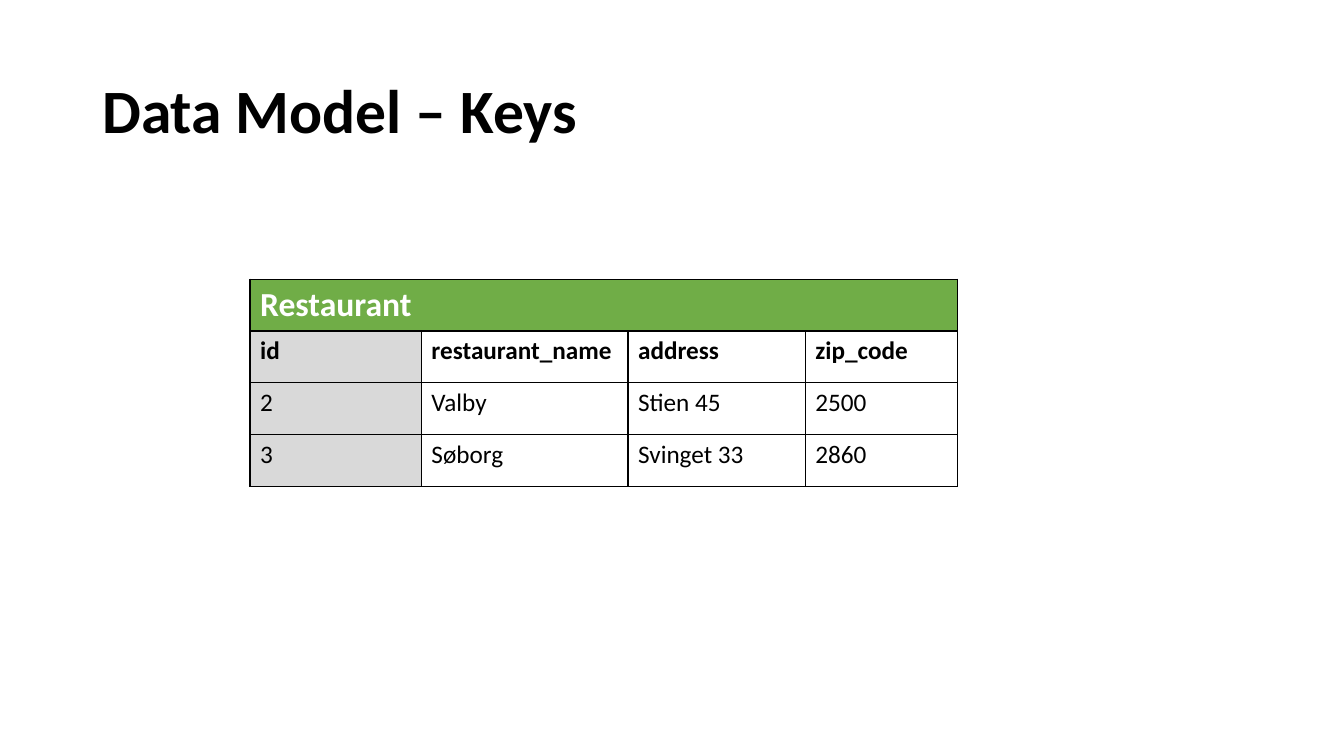
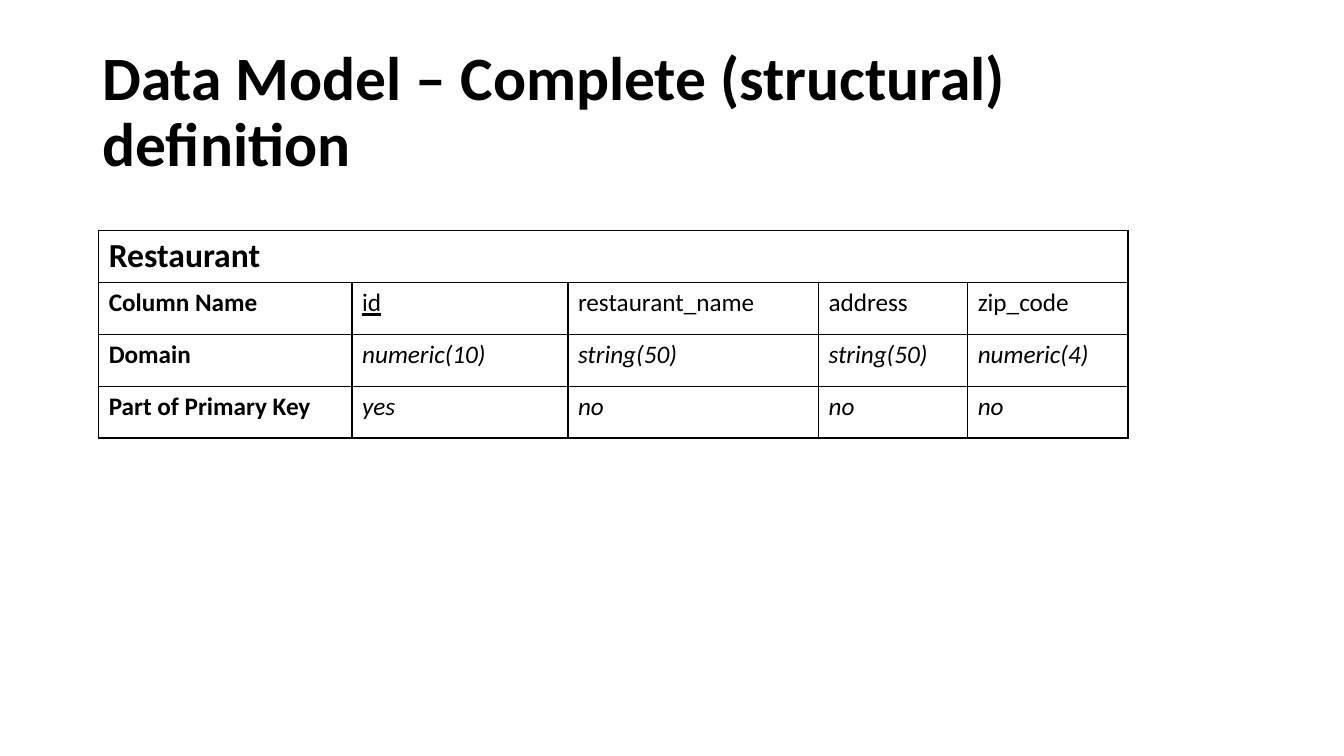
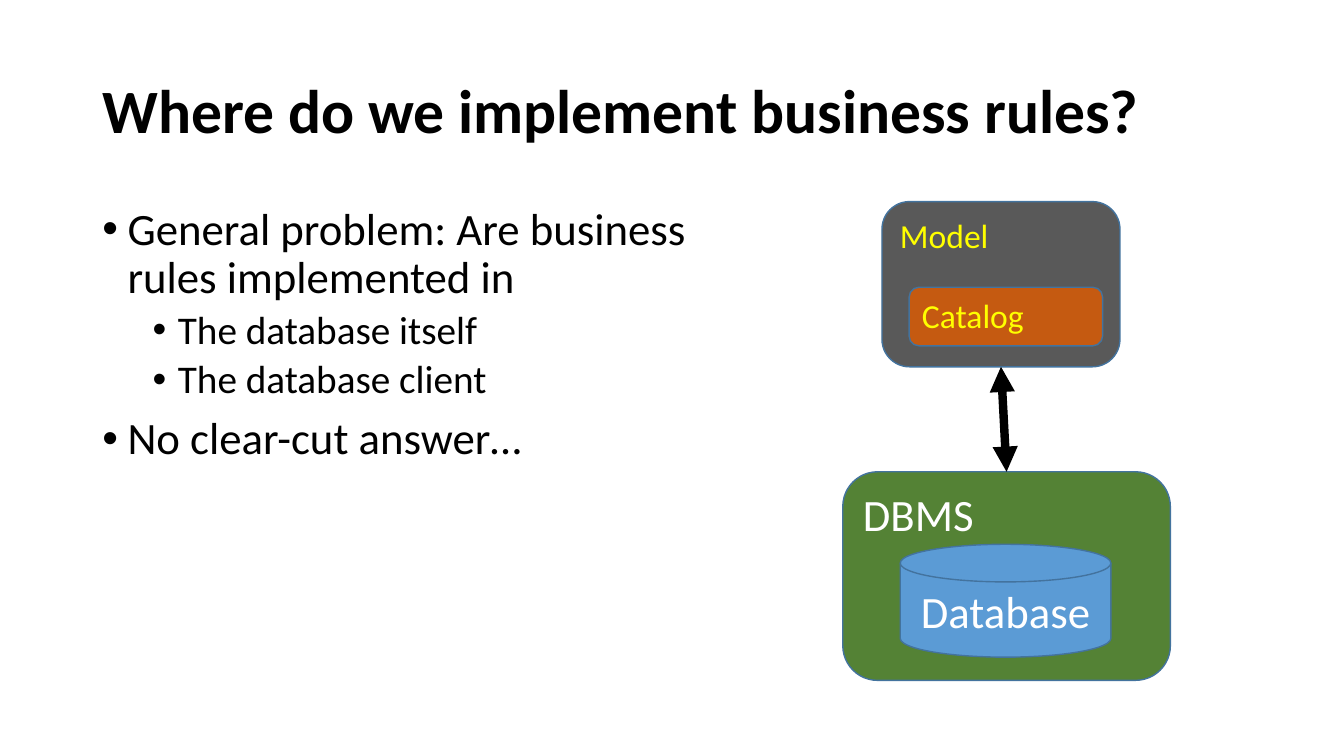
from lxml import etree
from pptx import Presentation
from pptx.dml.color import RGBColor
from pptx.enum.shapes import MSO_CONNECTOR, MSO_SHAPE
from pptx.enum.text import MSO_ANCHOR, PP_ALIGN
from pptx.oxml.ns import qn
from pptx.util import Pt

ROUNDED, DISK = MSO_SHAPE.ROUNDED_RECTANGLE, MSO_SHAPE.FLOWCHART_MAGNETIC_DISK
STRAIGHT = MSO_CONNECTOR.STRAIGHT
TOP, MIDDLE = MSO_ANCHOR.TOP, MSO_ANCHOR.MIDDLE
LEFT, CENTER = PP_ALIGN.LEFT, PP_ALIGN.CENTER

FONT = "Calibri"
BLACK, WHITE, YELLOW = "000000", "FFFFFF", "FFFF00"
GREEN, KEY_GRAY, OUTLINE = "70AD47", "D9D9D9", "43739E"
ROW_HEIGHT = 37
color = RGBColor.from_string


def style_text(para, size, text_color=BLACK, bold=False, italic=False, underline=False):
    for span in para.runs:
        font = span.font
        font.name, font.size = FONT, Pt(size)
        font.bold, font.italic, font.underline = bold, italic, underline
        font.color.rgb = color(text_color)


def add_page(title):
    page = deck.slides.add_slide(deck.slide_layouts[6])
    box = page.shapes.add_textbox(Pt(66), Pt(28.8), Pt(828), Pt(104.4))
    frame = box.text_frame
    frame.word_wrap = True
    frame.vertical_anchor = MIDDLE
    frame.text = title
    frame.paragraphs[0].line_spacing = 0.9
    style_text(frame.paragraphs[0], 44, bold=True)
    return page


deck = Presentation()
deck.slide_width, deck.slide_height = Pt(960), Pt(540)

# Table pages
table_pages = [
    {
        "title": "Data Model – Keys",
        "left": 178.6, "top": 199.4,
        "widths": [122.4, 147.6, 126.7, 108.7],
        "header_fill": GREEN, "header_color": WHITE, "first_column_fill": KEY_GRAY,
        "bold_rows": [1], "bold_columns": [], "italic_rows": [], "underlined": [],
        "rows": [
            ["id", "restaurant_name", "address", "zip_code"],
            ["2", "Valby", "Stien 45", "2500"],
            ["3", "Søborg", "Svinget 33", "2860"],
        ],
    },
    {
        "title": "Data Model – Complete (structural) definition",
        "left": 70.5, "top": 164.9,
        "widths": [181, 154.2, 179, 106.6, 114.5],
        "header_fill": WHITE, "header_color": BLACK, "first_column_fill": WHITE,
        "bold_rows": [], "bold_columns": [0], "italic_rows": [2, 3], "underlined": ["id"],
        "rows": [
            ["Column Name", "id", "restaurant_name", "address", "zip_code"],
            ["Domain", "numeric(10)", "string(50)", "string(50)", "numeric(4)"],
            ["Part of Primary Key", "yes", "no", "no", "no"],
        ],
    },
]

for content in table_pages:
    page = add_page(content["title"])
    widths = content["widths"]
    header = ["Restaurant"] + [""] * (len(widths) - 1)
    rows = [header] + content["rows"]
    table = page.shapes.add_table(
        len(rows), len(widths), Pt(content["left"]), Pt(content["top"]),
        Pt(sum(widths)), Pt(ROW_HEIGHT * len(rows))).table
    table.first_row = table.horz_banding = False
    for column, width in zip(table.columns, widths):
        column.width = Pt(width)

    for row_number, texts in enumerate(rows):
        table.rows[row_number].height = Pt(ROW_HEIGHT)
        for column_number, text in enumerate(texts):
            cell = table.cell(row_number, column_number)
            # Borders come before the fill in the cell properties
            properties = cell._tc.get_or_add_tcPr()
            for side in ("a:lnL", "a:lnR", "a:lnT", "a:lnB"):
                border = etree.SubElement(properties, qn(side), w=str(Pt(1)))
                paint = etree.SubElement(border, qn("a:solidFill"))
                etree.SubElement(paint, qn("a:srgbClr"), val=BLACK)
            cell.fill.solid()
            if row_number == 0:
                cell_fill = content["header_fill"]
            else:
                cell_fill = content["first_column_fill"] if column_number == 0 else WHITE
            cell.fill.fore_color.rgb = color(cell_fill)

            if text:
                cell.text_frame.text = text
                para = cell.text_frame.paragraphs[0]
                if row_number == 0:
                    style_text(para, 24, content["header_color"], bold=True)
                else:
                    bold = (row_number in content["bold_rows"]
                            or column_number in content["bold_columns"])
                    style_text(para, 18, bold=bold,
                               italic=row_number in content["italic_rows"] and not bold,
                               underline=text in content["underlined"])
    table.cell(0, 0).merge(table.cell(0, len(widths) - 1))

# Business rules page: bullets
page = add_page("Where do we implement business rules?")
box = page.shapes.add_textbox(Pt(66), Pt(144), Pt(445.7), Pt(342.7))
frame = box.text_frame
frame.word_wrap = True
bullets = [
    (0, "General problem: Are business rules implemented in"),
    (1, "The database itself"),
    (1, "The database client"),
    (0, "No clear-cut answer…"),
]
for number, (level, text) in enumerate(bullets):
    para = frame.add_paragraph() if number else frame.paragraphs[0]
    para.text = text
    para.level = level
    para.line_spacing = 0.9
    para.space_before = Pt((10, 5)[level] if number else 0)
    properties = para._p.get_or_add_pPr()
    properties.set("marL", str(Pt(18 + 36 * level)))
    properties.set("indent", str(Pt(-18)))
    etree.SubElement(properties, qn("a:buFont"), typeface="Arial")
    etree.SubElement(properties, qn("a:buChar"), char="•")
    style_text(para, (32, 28)[level])

# Business rules page: system diagram
parts = [
    ("DBMS", ROUNDED, (602, 337, 234, 149), "548235", WHITE, 32, TOP, LEFT),
    ("Database", DISK, (643, 388.8, 150.5, 80.6), "5B9BD5", WHITE, 32, MIDDLE, CENTER),
    ("Model", ROUNDED, (630, 144, 170, 118), "595959", YELLOW, 24, TOP, LEFT),
    ("Catalog", ROUNDED, (649.4, 205.2, 138.2, 41.8), "C55A11", YELLOW, 24, TOP, LEFT),
]
shapes = {}
for name, kind, bounds, fill, text_color, size, anchor, alignment in parts:
    shape = page.shapes.add_shape(kind, *[Pt(length) for length in bounds])
    shape.shadow.inherit = False
    shape.fill.solid()
    shape.fill.fore_color.rgb = color(fill)
    shape.line.color.rgb = color(OUTLINE)
    shape.line.width = Pt(1)
    shape.text_frame.text = name
    shape.text_frame.vertical_anchor = anchor
    para = shape.text_frame.paragraphs[0]
    para.alignment = alignment
    style_text(para, size, text_color)
    shapes[name] = shape

# Arrow between model and DBMS
arrow = page.shapes.add_connector(STRAIGHT, Pt(715), Pt(262), Pt(719), Pt(337))
arrow.begin_connect(shapes["Model"], 2)
arrow.end_connect(shapes["DBMS"], 0)
arrow.line.color.rgb = color(BLACK)
arrow.line.width = Pt(6)
line = arrow.line._get_or_add_ln()
for end in ("a:headEnd", "a:tailEnd"):
    etree.SubElement(line, qn(end), type="triangle")
etree.SubElement(arrow._element.spPr, qn("a:effectLst"))

deck.save("out.pptx")
